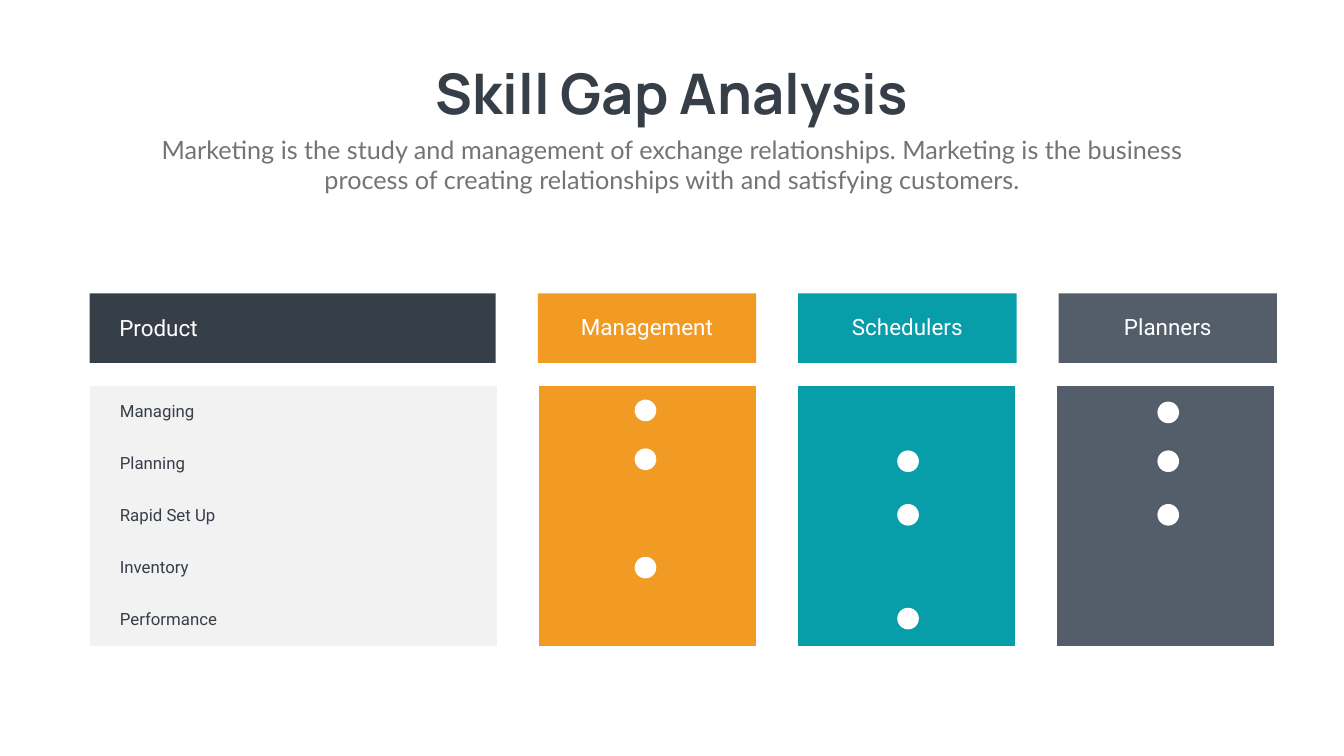
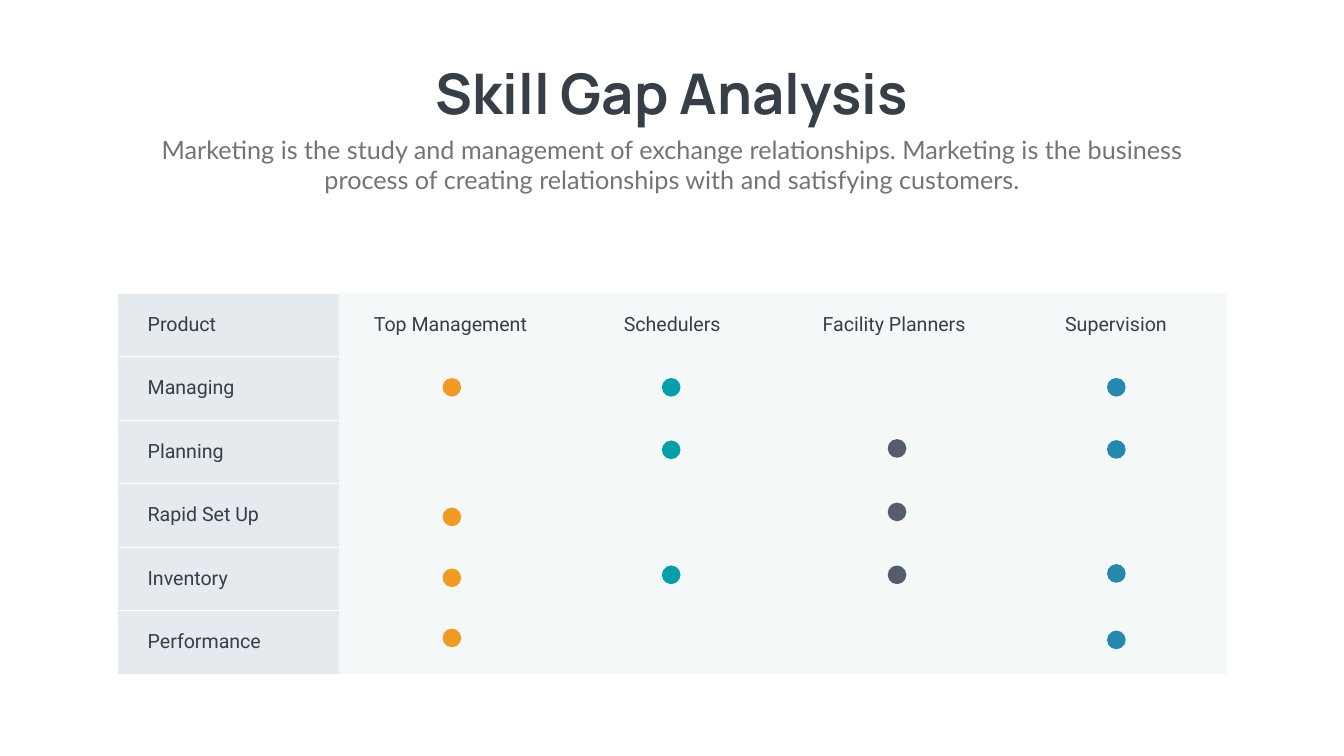
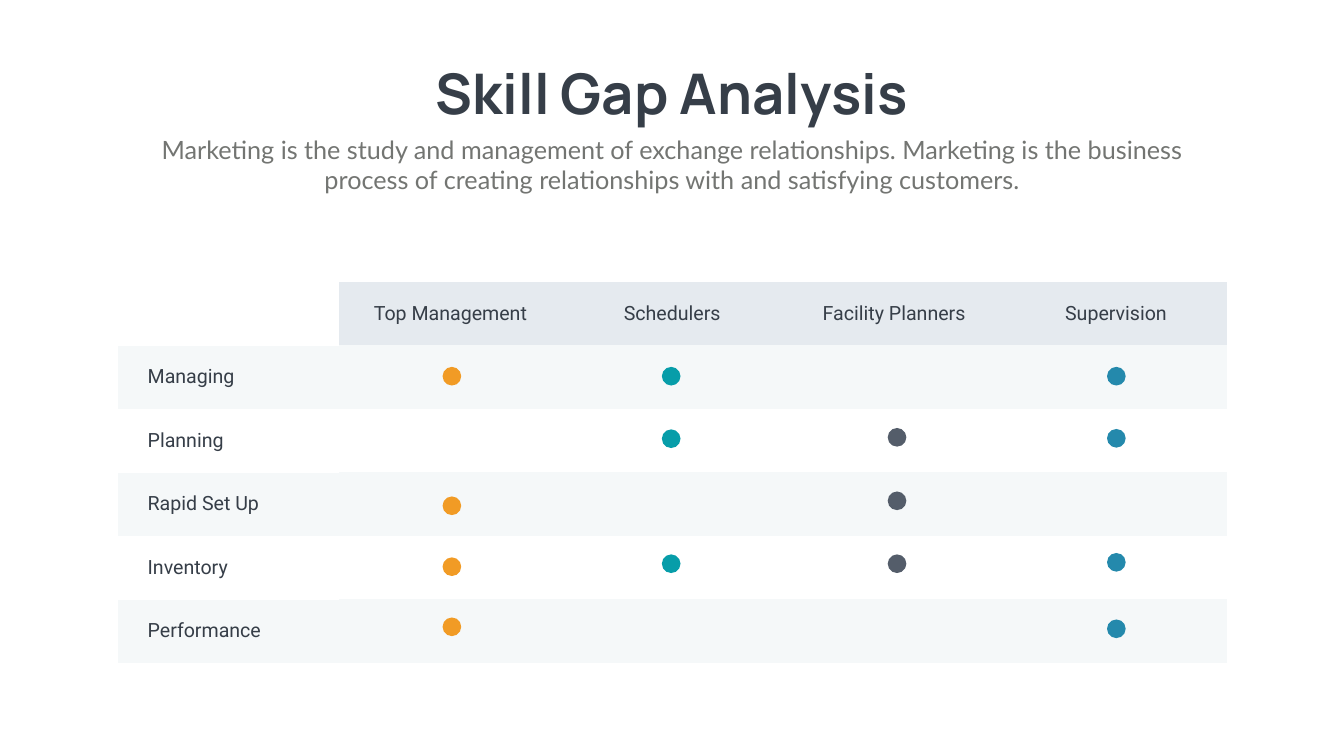
from dataclasses import dataclass

from lxml.etree import SubElement
from pptx import Presentation
from pptx.dml.color import RGBColor
from pptx.enum.shapes import MSO_SHAPE
from pptx.enum.text import MSO_ANCHOR, MSO_AUTO_SIZE, PP_ALIGN
from pptx.oxml.ns import qn
from pptx.util import Cm, Pt


@dataclass(frozen=True)
class Theme:
    """Colours, fonts and type formats shared by the slides."""
    white: str = "FFFFFF"
    ink: str = "363E48"
    grey: str = "737572"
    orange: str = "F19B25"
    teal: str = "079DA9"
    slate: str = "545D6A"
    blue: str = "2489AC"
    panel: str = "F2F2F2"
    pale: str = "F5F8F9"
    mist: str = "E5EAEF"
    plain_table: str = "{2D5ABB26-0587-4C30-8999-92F81FD0307C}"

    def title(self):
        """Return the format of the slide title."""
        return {"name": "Manrope", "size": Pt(80), "bold": True}

    def subtitle(self):
        """Return the format of the line under the title."""
        return {"name": "Lato", "size": Pt(36)}

    def label(self, size):
        """Return the format of headers and table text."""
        return {"name": "Roboto", "size": Pt(size)}


T = Theme()
SKILLS = ["Managing", "Planning", "Rapid Set Up", "Inventory", "Performance"]
ROLES = ["Top Management", "Schedulers", "Facility Planners", "Supervision"]
SUBTITLE = ("Marketing is the study and management of exchange relationships. "
            "Marketing is the business process of creating relationships "
            "with and satisfying customers.")
CARD_COLUMNS = [
    ("Management", T.orange, 27.46, [5.36, 7.82, 13.28]),
    ("Schedulers", T.teal, 40.69, [7.92, 10.62, 15.85]),
    ("Planners", T.slate, 53.8, [5.46, 7.92, 10.62]),
]
MATRIX_DOTS = [
    (T.orange, 16.38, [4.29, 10.82, 13.89, 16.92]),
    (T.teal, 27.43, [4.29, 7.44, 13.74]),
    (T.slate, 38.81, [7.37, 10.57, 13.74]),
    (T.blue, 49.86, [4.29, 7.42, 13.67, 17.02]),
]


def write(tf, text, fmt, color, align=PP_ALIGN.CENTER):
    """Write one formatted paragraph in a text frame."""
    p = tf.paragraphs[0]
    p.alignment = align
    r = p.add_run()
    r.text = text
    for key, value in fmt.items():
        setattr(r.font, key, value)
    r.font.color.rgb = RGBColor.from_string(color)


def add_text(shapes, box, text, fmt, color, align=PP_ALIGN.CENTER, wrap=True):
    """Add a text box that grows with its text."""
    tf = shapes.add_textbox(*map(Cm, box)).text_frame
    tf.word_wrap = wrap
    tf.auto_size = MSO_AUTO_SIZE.SHAPE_TO_FIT_TEXT
    write(tf, text, fmt, color, align)


def add_filled(shapes, kind, box, color):
    """Add a flat shape without an outline."""
    sp = shapes.add_shape(kind, *map(Cm, box))
    sp.shadow.inherit = False
    sp.fill.solid()
    sp.fill.fore_color.rgb = RGBColor.from_string(color)
    sp.line.fill.background()
    return sp


def add_dots(s, left, top, x, ys, size, color):
    """Add a column of dots relative to a corner."""
    for y in ys:
        add_filled(s.shapes, MSO_SHAPE.OVAL, (left + x, top + y, size, size), color)


def add_heading(s):
    """Add the title and subtitle."""
    add_text(s.shapes, (20.65, 2.84, 26.44, 3.68), "Skill Gap Analysis",
             T.title(), T.ink, wrap=False)
    add_text(s.shapes, (7.42, 6.63, 52.88, 3.33), SUBTITLE, T.subtitle(), T.grey)


def add_header(s, box, text, color, label_box, align=PP_ALIGN.CENTER):
    """Add a grouped header card with its label."""
    left, top, _, _ = box
    dx, dy, width, height = label_box
    shapes = s.shapes.add_group_shape().shapes
    sp = add_filled(shapes, MSO_SHAPE.ROUNDED_RECTANGLE, box, color)
    sp.adjustments[0] = 0
    add_text(shapes, (left + dx, top + dy, width, height), text,
             T.label(32), T.white, align)


def add_borders(cell):
    """Draw white rules left of, above and below a cell."""
    tcPr = cell._tc.get_or_add_tcPr()
    for side, width in (("L", 1), ("T", 0.5), ("B", 0.5)):
        ln = SubElement(tcPr, qn(f"a:ln{side}"), w=str(Pt(width)))
        fill = SubElement(ln, qn("a:solidFill"))
        SubElement(fill, qn("a:srgbClr"), val=T.white)


def add_grid(s, left, top, widths, heights, texts, fills, size, ruled=False):
    """Add a plain table from rows of texts and fills."""
    box = (left, top, sum(widths), sum(heights))
    table = s.shapes.add_table(len(heights), len(widths), *map(Cm, box)).table
    table.first_row = table.horz_banding = False
    table._tbl.tblPr.find(qn("a:tableStyleId")).text = T.plain_table
    for column, width in zip(table.columns, widths):
        column.width = Cm(width)
    for i, height in enumerate(heights):
        table.rows[i].height = Cm(height)
        for j, fill in enumerate(fills[i]):
            cell = table.cell(i, j)
            if ruled and j == 0:
                add_borders(cell)
            cell.fill.solid()
            cell.fill.fore_color.rgb = RGBColor.from_string(fill)
            if texts[i][j]:
                cell.vertical_anchor = MSO_ANCHOR.MIDDLE
                if j == 0:
                    cell.margin_left = Cm(1.52)
                write(cell.text_frame, texts[i][j], T.label(size), T.ink,
                      PP_ALIGN.CENTER if j else PP_ALIGN.LEFT)


def add_cards(s, left, top):
    """Add the skill panel with a coloured card for each role."""
    fills = [T.panel]
    for _, color, _, _ in CARD_COLUMNS:
        fills += [T.white, color]
    blank = [""] * 6
    add_grid(s, left, top + 2.24, [20.5] + [2.14, 10.92] * 3, [2.43] + [2.62] * 5,
             [[""] + blank] + [[skill] + blank for skill in SKILLS],
             [[T.white] * 7] + [fills] * 5, 24)
    for i, (role, color, _, _) in enumerate(CARD_COLUMNS):
        add_header(s, (left + 22.58 + 13.12 * i, top, 11, 3.51), role, color,
                   (1.46, 0.86, 8.08, 1.63))
    for _, _, x, ys in CARD_COLUMNS:
        add_dots(s, left, top, x, ys, 1.09, T.white)
    add_header(s, (left, top, 20.45, 3.51), "Product", T.ink,
               (1.24, 0.94, 8.08, 1.63), PP_ALIGN.LEFT)


def add_matrix(s, left, top, corner, fills):
    """Add the skill and role table with its dots."""
    texts = [[corner] + ROLES] + [[skill] + [""] * 4 for skill in SKILLS]
    add_grid(s, left, top, [11.18] * 5, [3.2] * 6, texts, fills, 28, ruled=True)
    for color, x, ys in MATRIX_DOTS:
        add_dots(s, left, top, x, ys, 0.94, color)


def add_slide(prs):
    """Add a blank slide with the shared heading."""
    s = prs.slides.add_slide(prs.slide_layouts[6])
    add_heading(s)
    return s


def main():
    """Build and save the presentation."""
    prs = Presentation()
    prs.slide_width, prs.slide_height = Cm(67.72), Cm(38.1)
    add_cards(add_slide(prs), 4.52, 14.78)
    add_matrix(add_slide(prs), 5.92, 14.76, "Product", [[T.mist] + [T.pale] * 4] * 6)
    bands = [[T.white if i % 2 else T.pale] * 5 for i in range(5)]
    add_matrix(add_slide(prs), 5.92, 14.2, "", [[T.white] + [T.mist] * 4] + bands)
    prs.save("out.pptx")


if __name__ == "__main__":
    main()
